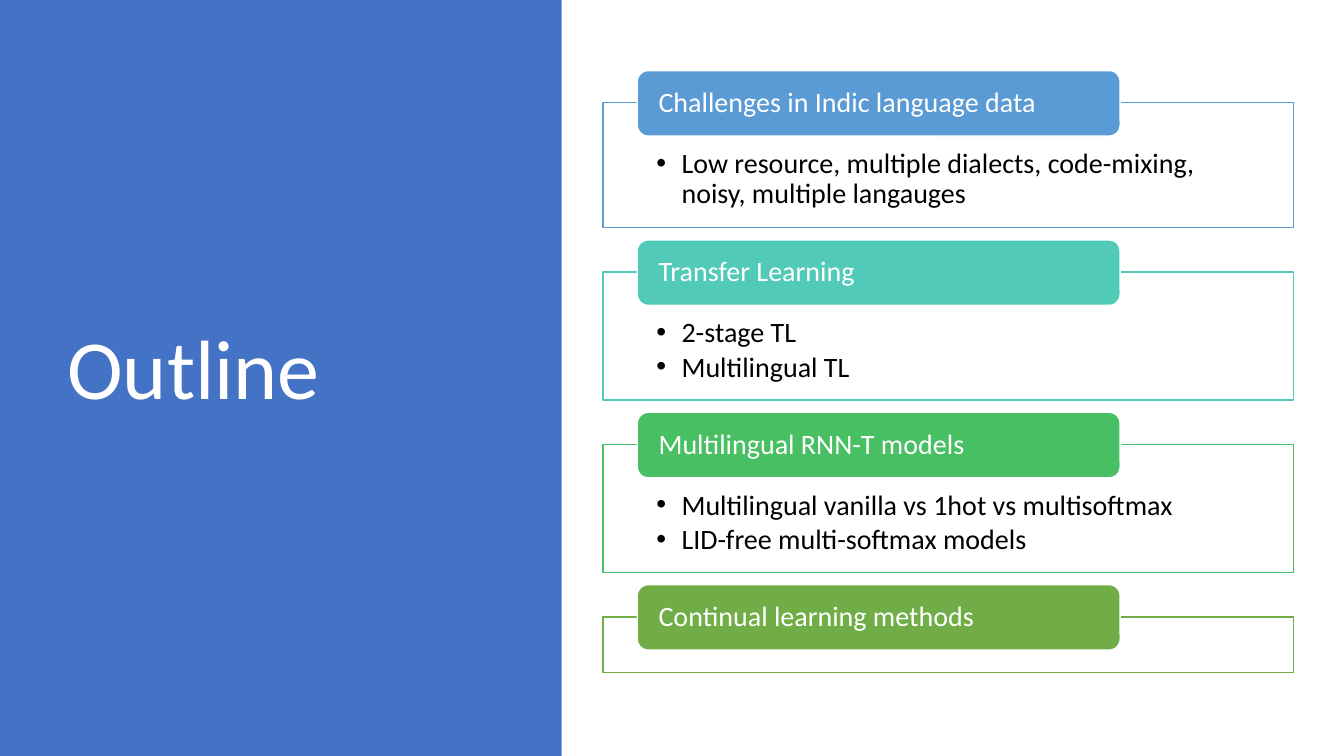
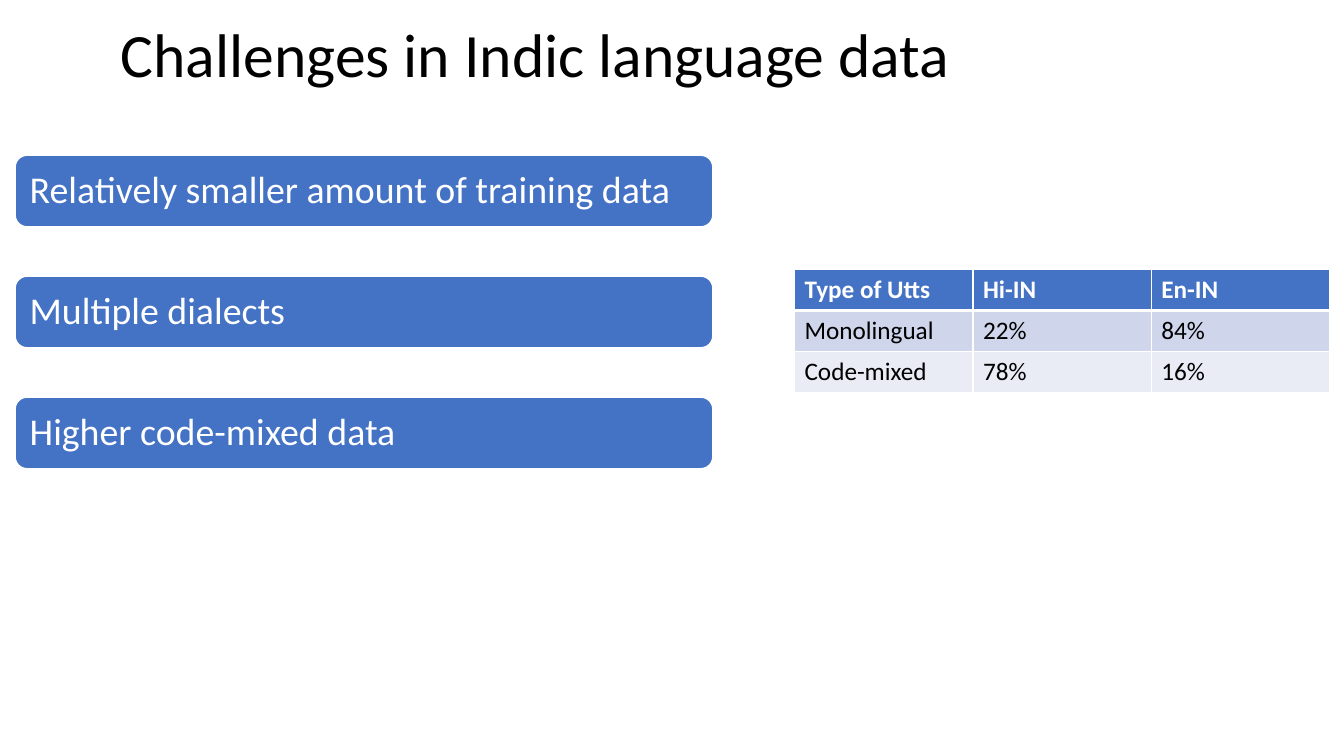
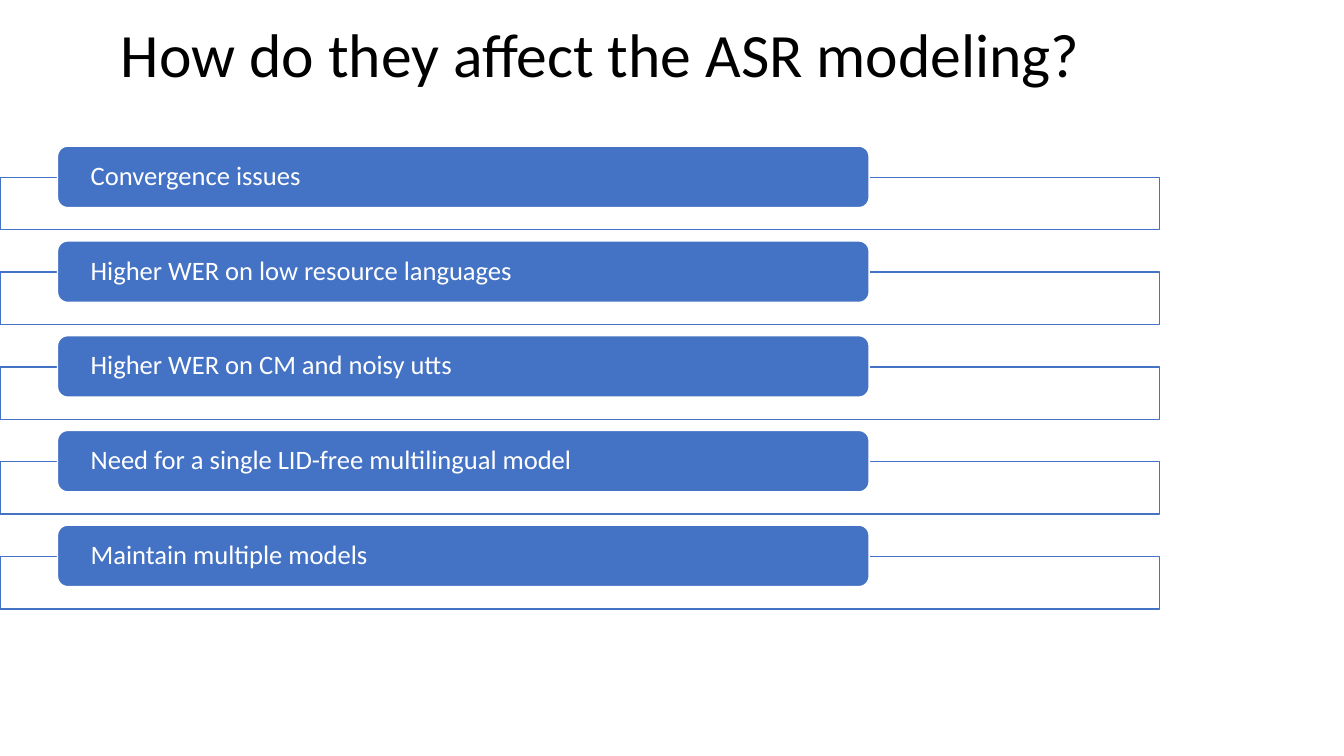
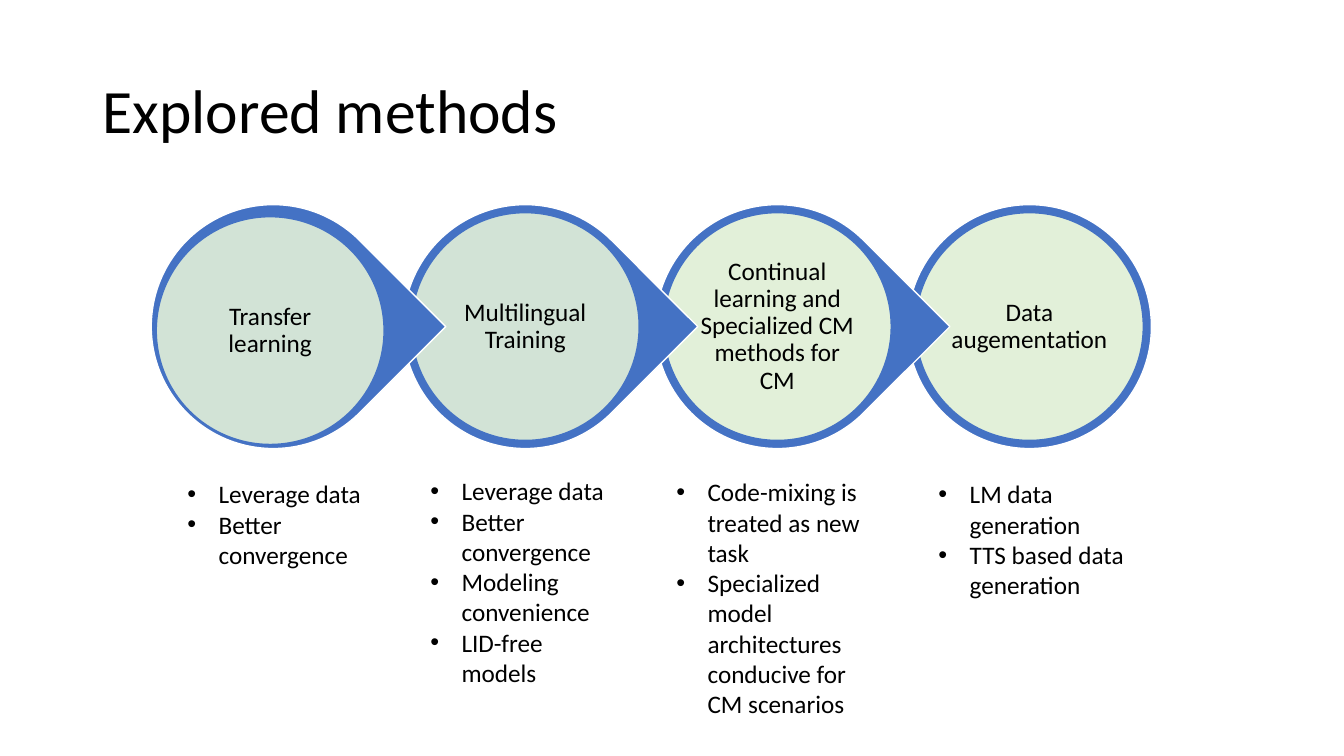
"""Build a four-slide talk on speech recognition for Indic languages."""
import lxml.etree
import pptx
import pptx.dml.color
import pptx.enum.shapes
import pptx.enum.text
import pptx.oxml.ns
import pptx.util

PX = 9144
FONT = "Calibri"
COLORS = {
    "blue": "4472C4", "sky": "5B9BD5", "teal": "52CAB8", "green": "49BF64",
    "olive": "70AD47", "pale": "E2F0D9", "band_dark": "CFD5EA",
    "band_light": "E9EBF5", "white": "FFFFFF", "black": "000000",
}
SHAPES = pptx.enum.shapes.MSO_SHAPE
ANCHOR = pptx.enum.text.MSO_ANCHOR
ALIGN = pptx.enum.text.PP_ALIGN
qn = pptx.oxml.ns.qn


def px(*lengths):
    return [length * PX for length in lengths]


def rgb(color):
    return pptx.dml.color.RGBColor.from_string(COLORS[color])


def paint(fill_owner, color):
    fill_owner.fill.solid()
    fill_owner.fill.fore_color.rgb = rgb(color)


def style_text(frame, lines, size, color="black", anchor=ANCHOR.TOP, align=ALIGN.LEFT,
               insets=(10, 5, 10, 5), spacing=None, after=0, bold=False, hang=0):
    frame.word_wrap = True
    frame.vertical_anchor = anchor
    frame.margin_left, frame.margin_top, frame.margin_right, frame.margin_bottom = px(*insets)
    frame.text = "\n".join(lines)
    for paragraph in frame.paragraphs:
        paragraph.alignment = align
        paragraph.line_spacing = spacing
        paragraph.space_after = pptx.util.Pt(after)
        font = paragraph.runs[0].font
        font.name, font.size, font.bold = FONT, pptx.util.Pt(size), bold
        font.color.rgb = rgb(color)
        if hang:
            properties = paragraph._p.get_or_add_pPr()
            properties.set("marL", str(hang * PX))
            properties.set("indent", str(-hang * PX))
            lxml.etree.SubElement(properties, qn("a:buFont"), typeface="Arial")
            lxml.etree.SubElement(properties, qn("a:buChar"), char="•")


def add_shape(slide, kind, box, fill, line=None, opacity=100):
    shape = slide.shapes.add_shape(kind, *px(*box))
    shape.shadow.inherit = False
    paint(shape, fill)
    if opacity < 100:
        tint = shape._element.spPr.find(qn("a:solidFill"))[0]
        lxml.etree.SubElement(tint, qn("a:alpha"), val=str(opacity * 1000))
    if line:
        shape.line.color.rgb = rgb(line)
        shape.line.width = pptx.util.Pt(1)
    else:
        shape.line.fill.background()
    return shape


def add_text(slide, box, lines, size, **style):
    textbox = slide.shapes.add_textbox(*px(*box))
    style_text(textbox.text_frame, lines, size, **style)


def add_title(slide, text, box=(110, -15, 1150, 145), size=44, color="black"):
    add_text(slide, box, [text], size, color=color, anchor=ANCHOR.MIDDLE, spacing=0.9)


def add_pill(slide, box, text, color, size, inset):
    pill = add_shape(slide, SHAPES.ROUNDED_RECTANGLE, box, color, "white")
    style_text(pill.text_frame, [text], size, color="white", anchor=ANCHOR.MIDDLE,
               insets=(inset, 3, inset, 3), spacing=0.9)


def add_framed_topics(slide, topics, frame_box, gap, pill_box, size, inset):
    left, top, width = frame_box
    pill_left, pill_rise, pill_width, pill_height = pill_box
    for heading, color, height, points in topics:
        frame = add_shape(slide, SHAPES.RECTANGLE, (left, top, width, height),
                          "white", color, opacity=90)
        if points:
            style_text(frame.text_frame, points, size, insets=(53, 46, 53, 16),
                       spacing=0.9, after=3, hang=25)
        add_pill(slide, (pill_left, top - pill_rise, pill_width, pill_height),
                 heading, color, size, inset)
        top += height + gap


def set_borders(cell, bottom):
    properties = cell._tc.get_or_add_tcPr()
    for index, (side, width) in enumerate((("L", 1), ("R", 1), ("T", 1), ("B", bottom))):
        border = lxml.etree.Element(qn(f"a:ln{side}"), w=str(pptx.util.Pt(width)))
        fill = lxml.etree.SubElement(border, qn("a:solidFill"))
        lxml.etree.SubElement(fill, qn("a:srgbClr"), val=COLORS["white"])
        properties.insert(index, border)


def add_table(slide, left, top, column_width, row_height, rows):
    columns = len(rows[0])
    table = slide.shapes.add_table(
        len(rows), columns,
        *px(left, top, column_width * columns, row_height * len(rows))).table
    fills = ("blue", "band_dark", "band_light")
    for row, (texts, fill) in enumerate(zip(rows, fills)):
        header = row == 0
        for column, text in enumerate(texts):
            cell = table.cell(row, column)
            style_text(cell.text_frame, [text], 18, bold=header,
                       color="white" if header else "black")
            paint(cell, fill)
            set_borders(cell, 3 if header else 1)


def build_outline(slide):
    add_shape(slide, SHAPES.RECTANGLE, (0, 0, 557, 750), "blue")
    add_title(slide, "Outline", (57, 68, 416, 602), 60, "white")
    topics = [
        ("Challenges in Indic language data", "sky", 124,
         ["Low resource, multiple dialects, code-mixing, noisy, multiple langauges"]),
        ("Transfer Learning", "teal", 127, ["2-stage TL", "Multilingual TL"]),
        ("Multilingual RNN-T models", "green", 127,
         ["Multilingual vanilla vs 1hot vs multisoftmax", "LID-free multi-softmax models"]),
        ("Continual learning methods", "olive", 55, []),
    ]
    add_framed_topics(slide, topics, (598, 102, 685), 44, (632, 32, 479, 65), 20, 18)


def build_challenges(slide):
    add_title(slide, "Challenges in Indic language data")
    add_table(slide, 788, 267, 177, 41, [
        ("Type of Utts", "Hi-IN", "En-IN"),
        ("Monolingual", "22%", "84%"),
        ("Code-mixed", "78%", "16%"),
    ])
    challenges = ("Relatively smaller amount of training data", "Multiple dialects",
                  "Higher code-mixed data")
    for row, challenge in enumerate(challenges):
        add_pill(slide, (15, 154 + 120 * row, 692, 71), challenge, "blue", 27, 11)


def build_effects(slide):
    add_title(slide, "How do they affect the ASR modeling?")
    effects = ("Convergence issues", "Higher WER on low resource languages",
               "Higher WER on CM and noisy utts",
               "Need for a single LID-free multilingual model", "Maintain multiple models")
    add_framed_topics(slide, [(effect, "blue", 52, []) for effect in effects],
                      (0, 176, 1150), 42, (57, 31, 805, 61), 19, 30)


def build_methods(slide):
    add_title(slide, "Explored methods", (92, 40, 1150, 145))
    methods = [
        ("Transfer learning", (155, 215), 90, (176, 470, 215, 101),
         ["Leverage data", "Better convergence"]),
        ("Multilingual Training", (408, 211), 90, (417, 467, 204, 222),
         ["Leverage data", "Better convergence", "Modeling convenience",
          "LID-free models"]),
        ("Continual learning and Specialized CM methods for CM", (658, 211), 100,
         (661, 468, 204, 283),
         ["Code-mixing is treated as new task",
          "Specialized model architectures conducive for CM scenarios"]),
        ("Data augementation", (908, 211), 100, (921, 470, 216, 131),
         ["LM data generation", "TTS based data generation"]),
    ]
    last = len(methods) - 1
    for step, (method, disc_corner, opacity, _, _) in reversed(list(enumerate(methods))):
        ring = add_shape(slide, SHAPES.OVAL if step == last else SHAPES.TEAR,
                         (150 + 250 * step, 203, 242, 242), "blue", "white")
        ring.rotation = 0 if step == last else 45
        disc = add_shape(slide, SHAPES.OVAL, (*disc_corner, 226, 226), "pale", "blue", opacity)
        style_text(disc.text_frame, [method], 18, anchor=ANCHOR.MIDDLE, align=ALIGN.CENTER,
                   insets=(1, 3, 1, 3), spacing=0.9)
    for _, _, _, notes_box, notes in methods:
        add_text(slide, notes_box, notes, 18, hang=31)


def main():
    deck = pptx.Presentation()
    deck.slide_width, deck.slide_height = px(1333, 750)
    for build in (build_outline, build_challenges, build_effects, build_methods):
        build(deck.slides.add_slide(deck.slide_layouts[6]))
    deck.save("out.pptx")


if __name__ == "__main__":
    main()
